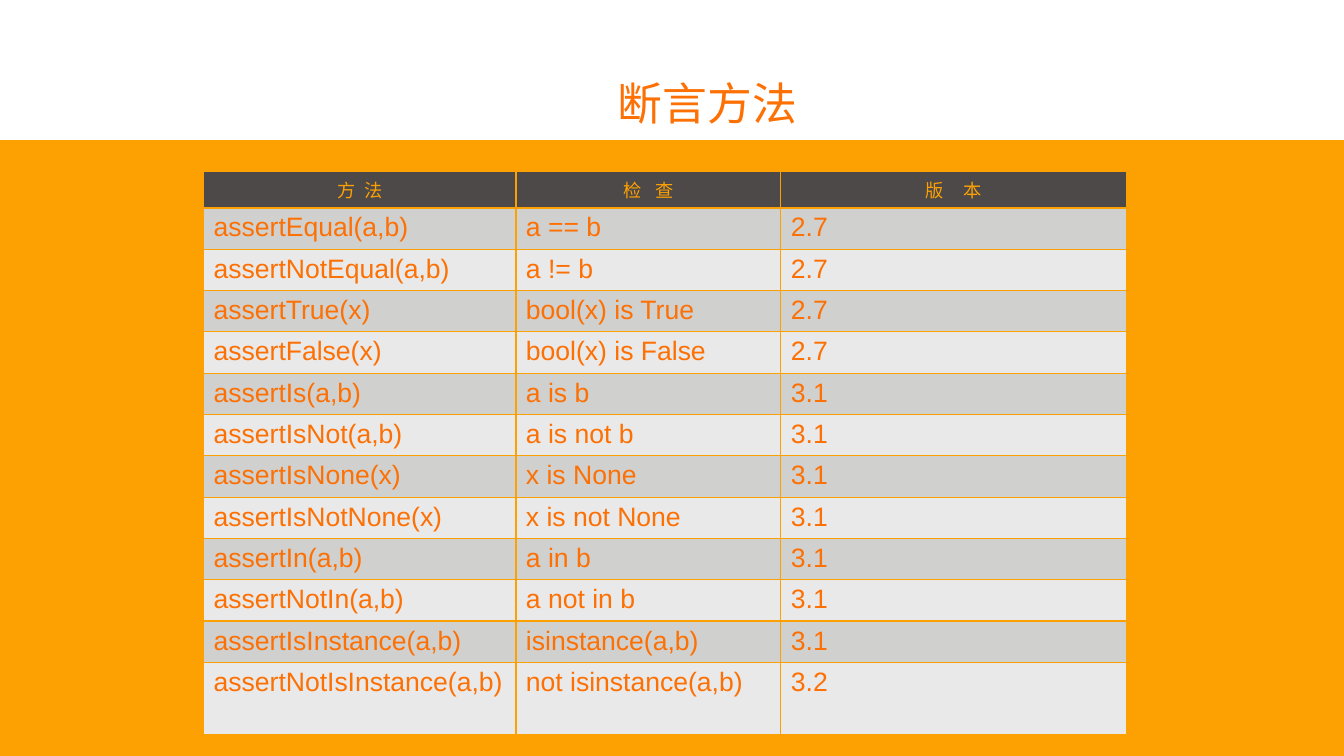
from lxml import etree
from pptx import Presentation
from pptx.dml.color import RGBColor
from pptx.enum.shapes import MSO_SHAPE
from pptx.enum.text import MSO_ANCHOR, PP_ALIGN
from pptx.oxml.ns import qn
from pptx.util import Inches, Pt

RECTANGLE = MSO_SHAPE.RECTANGLE
MIDDLE = MSO_ANCHOR.MIDDLE
CENTER, LEFT = PP_ALIGN.CENTER, PP_ALIGN.LEFT

WIDTH, HEIGHT = 13.34, 7.5
COLORS = {
    "orange": "FDA103",
    "text": "FD7004",
    "white": "FFFFFF",
    "header": "4D4948",
    "dark_band": "D0D0CF",
    "light_band": "E9E9E9",
}
LATIN_FONT, CHINESE_FONT = "Arial", "Noto Sans CJK SC"
TITLE_FORMAT = {"name": CHINESE_FONT, "size": Pt(32)}
HEADER_FORMAT = {"name": LATIN_FONT, "size": Pt(13)}
BODY_FORMAT = {"name": LATIN_FONT, "size": Pt(19)}

COLUMN_WIDTHS = [3.1, 2.63, 3.43]
HEADER_HEIGHT, ROW_HEIGHT, LAST_HEIGHT = 0.36, 0.41, 0.72
HEADINGS = [("方 法", 1.8), ("检 查", 3.6), ("版 本", 5.4)]
METHODS = [
    ("assertEqual(a,b)", "a == b", "2.7"),
    ("assertNotEqual(a,b)", "a != b", "2.7"),
    ("assertTrue(x)", "bool(x) is True", "2.7"),
    ("assertFalse(x)", "bool(x) is False", "2.7"),
    ("assertIs(a,b)", "a is b", "3.1"),
    ("assertIsNot(a,b)", "a is not b", "3.1"),
    ("assertIsNone(x)", "x is None", "3.1"),
    ("assertIsNotNone(x)", "x is not None", "3.1"),
    ("assertIn(a,b)", "a in b", "3.1"),
    ("assertNotIn(a,b)", "a not in b", "3.1"),
    ("assertIsInstance(a,b)", "isinstance(a,b)", "3.1"),
    ("assertNotIsInstance(a,b)", "not isinstance(a,b)", "3.2"),
]


def paint(fill, color):
    fill.solid()
    fill.fore_color.rgb = RGBColor.from_string(COLORS[color])


def write(para, text, formats, color, align=LEFT, tracking=0):
    para.alignment = align
    span = para.add_run()
    span.text = text
    for name, value in formats.items():
        setattr(span.font, name, value)
    paint(span.font.fill, color)
    properties = span.font._element
    etree.SubElement(properties, qn("a:ea"), typeface=CHINESE_FONT)
    if tracking:
        properties.set("spc", str(round(tracking * 100)))


def add_band(page):
    band = page.shapes.add_shape(RECTANGLE, 0, 0, Inches(WIDTH), Inches(HEIGHT * 0.185))
    band.shadow.inherit = False
    paint(band.fill, "white")
    band.line.fill.background()


def add_title(page, text):
    box = page.shapes.add_textbox(
        Inches(WIDTH * 0.45), Inches(HEIGHT * 0.104), Inches(2.74), Inches(0.54)
    )
    frame = box.text_frame
    frame.word_wrap = True
    frame.vertical_anchor = MIDDLE
    frame.margin_left = frame.margin_right = Inches(0.13)
    frame.margin_top = frame.margin_bottom = Inches(0.07)
    para = frame.paragraphs[0]
    para.line_spacing = 0.9
    write(para, text, TITLE_FORMAT, "text")


def add_borders(cell):
    properties = cell._tc.get_or_add_tcPr()
    for index, side in enumerate(("lnL", "lnR", "lnT", "lnB")):
        line = etree.Element(qn(f"a:{side}"), w=str(Pt(1)))
        fill = etree.SubElement(line, qn("a:solidFill"))
        etree.SubElement(fill, qn("a:srgbClr"), val=COLORS["orange"])
        properties.insert(index, line)


def fill_cell(cell, color):
    paint(cell.fill, color)
    add_borders(cell)
    return cell.text_frame.paragraphs[0]


def add_method_table(page):
    heights = [HEADER_HEIGHT] + [ROW_HEIGHT] * (len(METHODS) - 1) + [LAST_HEIGHT]
    table = page.shapes.add_table(
        len(heights), len(COLUMN_WIDTHS),
        Inches(WIDTH * 0.1515), Inches(HEIGHT * 0.227),
        Inches(sum(COLUMN_WIDTHS)), Inches(sum(heights)),
    ).table
    table.horz_banding = False
    for column, width in zip(table.columns, COLUMN_WIDTHS):
        column.width = Inches(width)
    for row, height in zip(table.rows, heights):
        row.height = Inches(height)
    for column, (heading, tracking) in enumerate(HEADINGS):
        para = fill_cell(table.cell(0, column), "header")
        write(para, heading, HEADER_FORMAT, "orange", CENTER, tracking)
    for row, method in enumerate(METHODS, start=1):
        band = "dark_band" if row % 2 else "light_band"
        for column, text in enumerate(method):
            para = fill_cell(table.cell(row, column), band)
            write(para, text, BODY_FORMAT, "text")


def main():
    deck = Presentation()
    deck.slide_width, deck.slide_height = Inches(WIDTH), Inches(HEIGHT)
    page = deck.slides.add_slide(deck.slide_layouts[6])
    paint(page.background.fill, "orange")
    add_band(page)
    add_method_table(page)
    add_title(page, "断言方法")
    deck.save("out.pptx")


if __name__ == "__main__":
    main()
